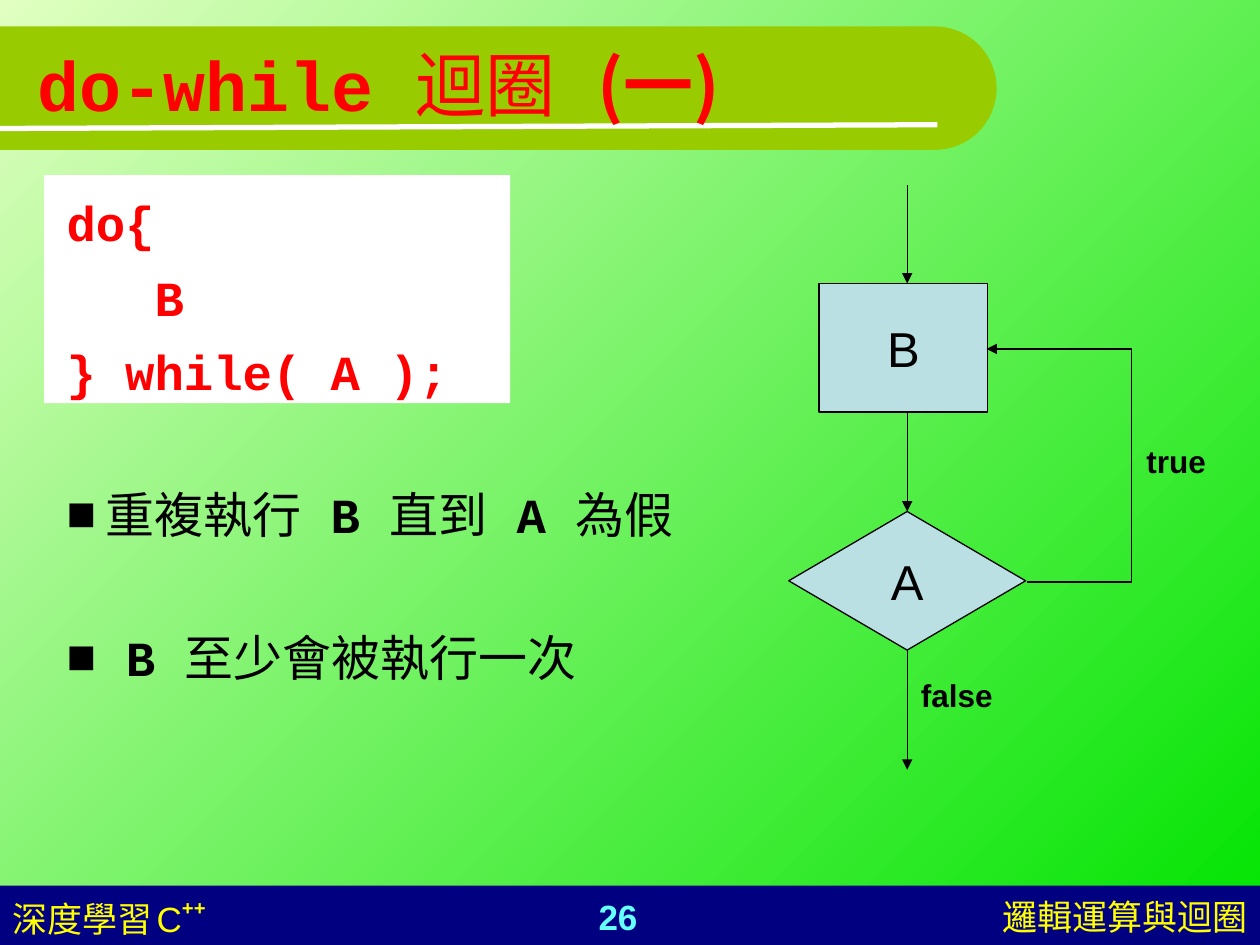
import math
from lxml import etree
from pptx import Presentation
from pptx import util as u
from pptx.dml.color import RGBColor
from pptx.enum import shapes, text
from pptx.oxml.ns import qn

COLORS = {
    "mint": "E0FFC1", "green": "00E400", "navy": "000080", "olive": "99CC00",
    "white": "FFFFFF", "cyan": "66FFFF", "yellow": "FFFF00", "red": "FF0000",
    "black": "000000", "pale": "BBE0E3",
}
RGB = {name: RGBColor.from_string(value) for name, value in COLORS.items()}
LEFT, CENTER, RIGHT = text.PP_ALIGN.LEFT, text.PP_ALIGN.CENTER, text.PP_ALIGN.RIGHT


def write_spans(para, spans, base):
    for words, changes in spans:
        span = para.add_run()
        span.text = words
        style = {**base, **changes}
        color = style.pop("color")
        east_asian = style.pop("east_asian", style["name"])
        baseline = style.pop("baseline", None)
        for key, value in style.items():
            setattr(span.font, key, value)
        span.font.color.rgb = RGB[color]
        props = span._r.get_or_add_rPr()
        etree.SubElement(props, qn("a:ea")).set("typeface", east_asian)
        if baseline:
            props.set("baseline", baseline)


def style_line(connector, color, width, arrow):
    connector.line.color.rgb = RGB[color]
    connector.line.width = u.Pt(width)
    if arrow:
        tail = etree.SubElement(connector.line._get_or_add_ln(), qn("a:tailEnd"))
        tail.set("type", "triangle")
    etree.SubElement(connector._element.spPr, qn("a:effectLst"))


deck = Presentation()
deck.slide_width, deck.slide_height = u.Inches(10), u.Inches(7.5)
page = deck.slides.add_slide(deck.slide_layouts[6])

backdrop = page.background.fill
backdrop.gradient()
backdrop.gradient_angle = 315
for stop, color, position in zip(backdrop.gradient_stops, ("mint", "green"), (0, 1)):
    stop.color.rgb = RGB[color]
    stop.position = position

radius, center_x, center_y = 0.49, 7.42, 0.7
angles = [math.radians(degree) for degree in range(-90, 91, 5)]
outline = [(center_x + radius * math.cos(a), center_y + radius * math.sin(a)) for a in angles]
outline.append((0, center_y + radius))
builder = page.shapes.build_freeform(0, u.Inches(center_y - radius), scale=1.0)
builder.add_line_segments([(u.Inches(x), u.Inches(y)) for x, y in outline])
banner = builder.convert_to_shape()

RECTANGLE = shapes.MSO_SHAPE.RECTANGLE
footer = page.shapes.add_shape(RECTANGLE, 0, u.Inches(7.03), u.Inches(10), u.Inches(0.47))
code_panel = page.shapes.add_shape(
    RECTANGLE, u.Inches(0.35), u.Inches(1.39), u.Inches(3.7), u.Inches(1.81))
for shape, color in ((banner, "olive"), (footer, "navy"), (code_panel, "white")):
    shape.shadow.inherit = False
    shape.fill.solid()
    shape.fill.fore_color.rgb = RGB[color]
    shape.line.fill.background()

STRAIGHT = shapes.MSO_CONNECTOR.STRAIGHT
underline = page.shapes.add_connector(
    STRAIGHT, 0, u.Inches(1.02), u.Inches(7.44), u.Inches(0.99))
style_line(underline, "white", 3, False)

footer_font = {"size": u.Pt(20), "name": "Arial", "color": "yellow", "bold": False}
label_font = {"size": u.Pt(18), "name": "Arial", "color": "black", "bold": True}
title_font = {"size": u.Pt(40), "name": "Courier New", "color": "red", "bold": True}
noto = {"name": "Noto Sans CJK SC"}
plain = {"bold": False}
labels = [
    ((3.74, 7.06, 2.33, 0.44), CENTER, True, footer_font,
     [("26", {"color": "cyan", "bold": True})]),
    ((6.73, 7.06, 3.27, 0.44), RIGHT, True, footer_font, [("邏輯運算與迴圈", {})]),
    ((0, 7.06, 3.58, 0.44), LEFT, True, footer_font,
     [("深度學習", {}), (" ", {"size": u.Pt(8)}), ("C", {}),
      ("++", {"bold": True, "baseline": "46000"})]),
    ((0.2, 0.13, 9.53, 1.07), LEFT, True, title_font,
     [("do-while ", {}), ("迴圈 ", plain), ("(一)", noto)]),
    ((7.21, 5.32, 0.77, 0.4), LEFT, False, label_font, [("false", {})]),
    ((9, 3.46, 0.67, 0.4), LEFT, False, label_font, [("true", {})]),
]
for place, align, wrap, font, spans in labels:
    box = page.shapes.add_textbox(*map(u.Inches, place))
    box.text_frame.word_wrap = wrap
    if font is title_font:
        box.text_frame.vertical_anchor = text.MSO_ANCHOR.MIDDLE
    para = box.text_frame.paragraphs[0]
    para.alignment = align
    write_spans(para, spans, font)

body_font = {"size": u.Pt(28), "name": "Courier New", "color": "red", "bold": True}
point = {"color": "black"}
point_plain = {"color": "black", "bold": False}
lines = [
    (0, 0, [("do{", {})]),
    (9, 0, [("   B", {})]),
    (9, 0, [("} while( A );", {})]),
    (48, 0.31, [("重複執行 ", point_plain), ("B ", point), ("直到 ", point_plain),
                ("A ", point), ("為假", point_plain)]),
    (48, 0.47, [("B ", point), ("至少會被執行一次", point_plain)]),
]
body = page.shapes.add_textbox(u.Inches(0.43), u.Inches(1.48), u.Inches(9.21), u.Inches(4.87))
body.text_frame.word_wrap = True
for index, (gap, indent, spans) in enumerate(lines):
    para = body.text_frame.add_paragraph() if index else body.text_frame.paragraphs[0]
    if indent:
        props = para._p.get_or_add_pPr()
        props.set("marL", str(u.Inches(indent)))
        props.set("indent", str(-u.Inches(indent)))
        bullet_color = etree.SubElement(props, qn("a:buClr"))
        etree.SubElement(bullet_color, qn("a:srgbClr")).set("val", COLORS["black"])
        etree.SubElement(props, qn("a:buFont")).set("typeface", "Arial")
        etree.SubElement(props, qn("a:buChar")).set("char", "■")
    para.space_before = u.Pt(gap)
    write_spans(para, spans, body_font)

node_font = {"size": u.Pt(28), "name": "Arial", "color": "black"}
nodes = {}
for name, kind, place in (
    ("A", shapes.MSO_SHAPE.FLOWCHART_DECISION, (6.26, 4.06, 1.88, 1.1)),
    ("B", RECTANGLE, (6.5, 2.25, 1.34, 1.02)),
):
    node = page.shapes.add_shape(kind, *map(u.Inches, place))
    node.shadow.inherit = False
    node.fill.solid()
    node.fill.fore_color.rgb = RGB["pale"]
    node.line.color.rgb = RGB["black"]
    node.line.width = u.Pt(0.75)
    node.text_frame.word_wrap = False
    node.text_frame.vertical_anchor = text.MSO_ANCHOR.MIDDLE
    para = node.text_frame.paragraphs[0]
    para.alignment = CENTER
    write_spans(para, [(name, {})], node_font)
    nodes[name] = node

arrows = []
for top, bottom in ((1.47, 2.25), (3.27, 4.06), (5.16, 6.11)):
    arrow = page.shapes.add_connector(
        STRAIGHT, u.Inches(7.2), u.Inches(top), u.Inches(7.2), u.Inches(bottom))
    style_line(arrow, "black", 0.75, True)
    arrows.append(arrow)
arrows[1].end_connect(nodes["A"], 0)
arrows[2].begin_connect(nodes["A"], 2)

loop_back = page.shapes.add_connector(
    shapes.MSO_CONNECTOR.ELBOW, u.Inches(8.15), u.Inches(4.62), u.Inches(7.83), u.Inches(2.77))
style_line(loop_back, "black", 0.75, True)
geometry = loop_back._element.spPr.find(qn("a:prstGeom"))
guides = geometry.find(qn("a:avLst"))
if guides is None:
    guides = etree.SubElement(geometry, qn("a:avLst"))
bend = etree.SubElement(guides, qn("a:gd"))
bend.set("name", "adj1")
bend.set("fmla", "val -259700")

deck.save("out.pptx")
